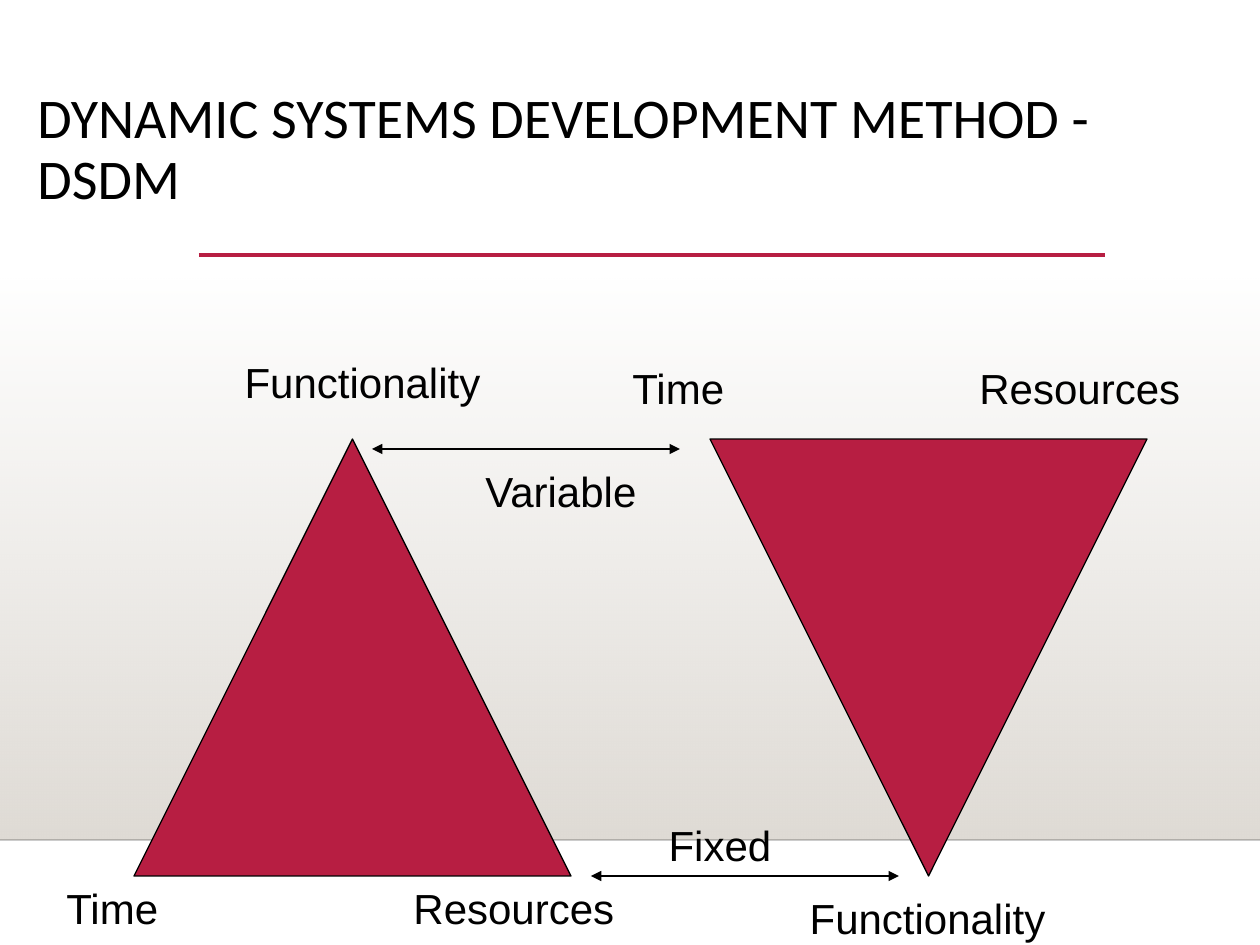
from lxml import etree
from pptx import Presentation
from pptx.dml.color import RGBColor
from pptx.enum.shapes import MSO_CONNECTOR, MSO_SHAPE
from pptx.enum.text import MSO_ANCHOR, PP_ALIGN
from pptx.oxml.ns import qn
from pptx.util import Emu, Pt

STRAIGHT = MSO_CONNECTOR.STRAIGHT
RECTANGLE, TRIANGLE = MSO_SHAPE.RECTANGLE, MSO_SHAPE.ISOSCELES_TRIANGLE
TOP = MSO_ANCHOR.TOP
LEFT, CENTER = PP_ALIGN.LEFT, PP_ALIGN.CENTER

BLACK = RGBColor(0x00, 0x00, 0x00)
CRIMSON = RGBColor(0xB7, 0x1E, 0x42)
STONE = RGBColor(0xDF, 0xDB, 0xD5)

PX_PER_INCH = 126
PAGE_WIDTH, PAGE_HEIGHT = 1260, 945
TRIANGLE_SIZE = 437
LABEL_HEIGHT = 63
TAB_STOP = 347  # from the first word of a pair to the second


def px(length):
    return Emu(round(length * 914400 / PX_PER_INCH))


def set_alpha(color_element, percent):
    etree.SubElement(color_element, qn("a:alpha"), val=str(percent * 1000))


def add_line(page, start, end, color, width, arrows=False):
    line = page.shapes.add_connector(STRAIGHT, *map(px, start + end))
    line.line.color.rgb = color
    line.line.width = Pt(width)
    if arrows:
        outline = line.line._get_or_add_ln()
        for name in ("a:headEnd", "a:tailEnd"):
            etree.SubElement(outline, qn(name), type="triangle")
    etree.SubElement(line.element.spPr, qn("a:effectLst"))
    return line


def add_text(page, box, text, font="Arial", size=24, align=CENTER):
    shape = page.shapes.add_textbox(*map(px, box))
    frame = shape.text_frame
    frame.word_wrap = True
    frame.vertical_anchor = TOP
    para = frame.paragraphs[0]
    para.text = text
    para.alignment = align
    para.font.name = font
    para.font.size = Pt(size)
    para.font.color.rgb = BLACK
    return para


def add_pair(page, box, first, second):
    """Two words on one line, the second at a tab stop."""
    para = add_text(page, box, f"{first}\t{second}", align=LEFT)
    tabs = etree.SubElement(para._p.get_or_add_pPr(), qn("a:tabLst"))
    etree.SubElement(tabs, qn("a:tab"), pos=str(px(TAB_STOP)), algn="l")
    # the tab list has to come before the default run properties
    tabs.getparent().insert(0, tabs)


def add_backdrop(page, left, top, width, height):
    # Shade that fades in towards the floor line
    shade = page.shapes.add_shape(RECTANGLE, *map(px, (left, top, width, height)))
    shade.shadow.inherit = False
    shade.line.fill.background()
    shade.fill.gradient()
    shade.fill.gradient_angle = 270
    for stop in shade.fill.gradient_stops:
        stop.color.rgb = STONE
    set_alpha(shade.element.spPr.find(".//" + qn("a:srgbClr")), 0)

    floor = top + height
    line = add_line(page, (left, floor), (left + width, floor), BLACK, 1)
    set_alpha(line.element.spPr.find(".//" + qn("a:srgbClr")), 20)


def add_heading(page, left, top, width, height):
    rule = top + height + 13
    add_line(page, (left + 174, rule), (left + 1080, rule), CRIMSON, 2.5)
    para = add_text(page, (left, top, width, height),
                    "DYNAMIC SYSTEMS DEVELOPMENT METHOD - DSDM",
                    font="Calibri", size=32, align=LEFT)
    para.line_spacing = 0.9


def add_triangle(page, left, top, rotation):
    box = (left, top, TRIANGLE_SIZE, TRIANGLE_SIZE)
    shape = page.shapes.add_shape(TRIANGLE, *map(px, box))
    shape.rotation = rotation
    shape.shadow.inherit = False
    shape.fill.solid()
    shape.fill.fore_color.rgb = CRIMSON
    shape.line.color.rgb = BLACK
    shape.line.width = Pt(0.75)


def add_comparison(page, left, top):
    """Upright and inverted triangle with their corner labels and arrows."""
    bottom = top + TRIANGLE_SIZE
    add_triangle(page, left, top, 0)
    add_triangle(page, left + 576, top, 180)

    # Corner labels
    add_text(page, (left - 39, top - 89, 535, LABEL_HEIGHT), "Functionality")
    add_pair(page, (left - 80, bottom, 576, LABEL_HEIGHT), "Time", "Resources")
    add_pair(page, (left + 486, top - 83, 576, LABEL_HEIGHT), "Time", "Resources")
    add_text(page, (left + 526, bottom + 10, 535, LABEL_HEIGHT), "Functionality")

    # Arrows between matching corners
    for x, y in ((left + 238, top + 10), (left + 457, bottom)):
        add_line(page, (x, y), (x + 308, y), BLACK, 0.75, arrows=True)
    add_text(page, (left + 268, top + 20, 318, LABEL_HEIGHT), "Variable")
    add_text(page, (left + 417, bottom - 63, 338, LABEL_HEIGHT), "Fixed")


def main():
    deck = Presentation()
    deck.slide_width, deck.slide_height = px(PAGE_WIDTH), px(PAGE_HEIGHT)
    page = deck.slides.add_slide(deck.slide_layouts[6])
    add_backdrop(page, 0, 278, PAGE_WIDTH, 562)
    add_heading(page, 25, 84, 1201, 158)
    add_comparison(page, 134, 439)
    deck.save("out.pptx")


if __name__ == "__main__":
    main()
